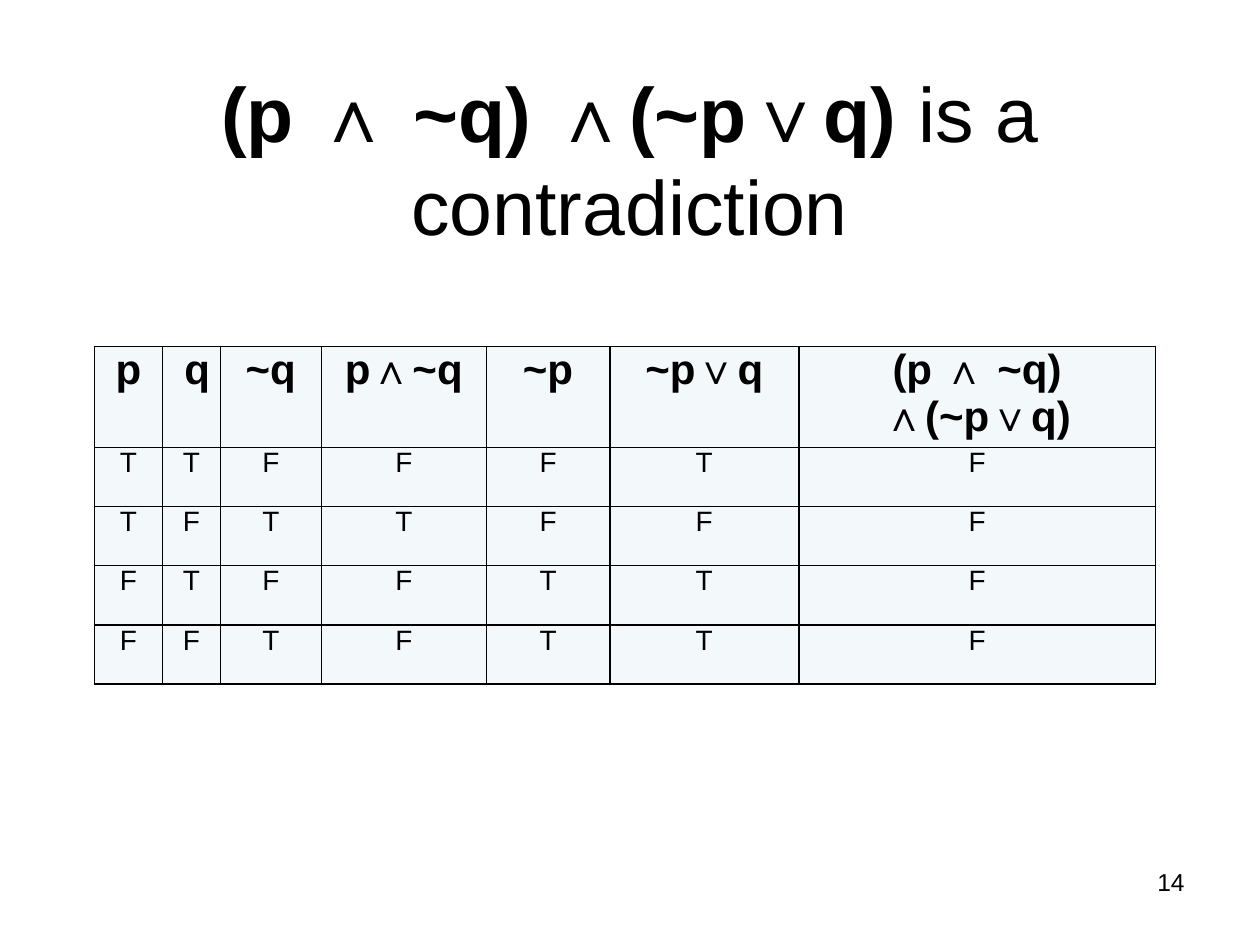
"""Build a slide with a truth table that proves a contradiction."""
from typing import NamedTuple

import pptx
import pptx.dml.color
import pptx.enum.text
import pptx.oxml
import pptx.oxml.ns
import pptx.util

Inches = pptx.util.Inches
Alignment = pptx.enum.text.PP_ALIGN
Anchor = pptx.enum.text.MSO_ANCHOR
BLACK = pptx.dml.color.RGBColor(0x00, 0x00, 0x00)
PALE_BLUE = pptx.dml.color.RGBColor(0xF3, 0xF9, 0xFA)
FORMULA = "(p ∧ ~q) ∧(~p∨q)"
ROW_HEIGHT = 0.47


class TruthColumn(NamedTuple):
    """One column: its header, its width in inches and its truth values."""
    header: str
    width: float
    values: str


COLUMNS = [
    TruthColumn("p", 0.54, "TTFF"),
    TruthColumn(" q", 0.46, "TFTF"),
    TruthColumn("~q", 0.8, "FTFT"),
    TruthColumn("p∧~q", 1.31, "FTFF"),
    TruthColumn("~p", 0.98, "FFTT"),
    TruthColumn("~p∨q", 1.5, "TFTT"),
    TruthColumn(FORMULA, 2.83, "FFFF"),
]


def add_text(paragraph, text: str, *, size: float, bold: bool = False,
             alignment=Alignment.CENTER) -> None:
    """Append one formatted run to a paragraph."""
    paragraph.alignment = alignment
    run = paragraph.add_run()
    run.text = text
    run.font.name = "Arial"
    run.font.size = pptx.util.Pt(size)
    run.font.bold = bold
    run.font.color.rgb = BLACK


def add_borders(cell) -> None:
    """Put a thin black line on each side of a cell."""
    properties = cell._tc.get_or_add_tcPr()
    namespace = pptx.oxml.ns.nsdecls("a")
    for position, side in enumerate(("lnL", "lnR", "lnT", "lnB")):
        properties.insert(position, pptx.oxml.parse_xml(
            f'<a:{side} {namespace} w="12700"><a:solidFill>'
            f'<a:srgbClr val="{BLACK}"/></a:solidFill></a:{side}>'))


def fill_cell(cell, text: str, *, size: float, bold: bool) -> None:
    """Write and format one table cell."""
    cell.margin_left = cell.margin_right = 0
    cell.margin_top = cell.margin_bottom = 0
    cell.fill.solid()
    cell.fill.fore_color.rgb = PALE_BLUE
    add_borders(cell)
    add_text(cell.text_frame.paragraphs[0], text, size=size, bold=bold)


def add_truth_table(slide, columns: list[TruthColumn]) -> None:
    """Draw the truth table from its columns."""
    row_count = len(columns[0].values) + 1
    table = slide.shapes.add_table(
        row_count, len(columns), Inches(0.75), Inches(2.75),
        Inches(sum(column.width for column in columns)),
        Inches(ROW_HEIGHT * row_count)).table
    table.horz_banding = False
    table.first_row = False
    for index, column in enumerate(columns):
        table.columns[index].width = Inches(column.width)
        fill_cell(table.cell(0, index), column.header, size=24, bold=True)
        for row, value in enumerate(column.values, start=1):
            fill_cell(table.cell(row, index), value, size=16, bold=False)


def add_title(slide) -> None:
    """Place the title with its formula in bold."""
    title = slide.shapes.title
    title.left, title.top = Inches(0.5), Inches(0.63)
    title.width, title.height = Inches(9), Inches(1.25)
    title.text_frame.auto_size = pptx.enum.text.MSO_AUTO_SIZE.NONE
    title.text_frame.vertical_anchor = Anchor.MIDDLE
    paragraph = title.text_frame.paragraphs[0]
    add_text(paragraph, FORMULA, size=44, bold=True)
    add_text(paragraph, " is a contradiction", size=44)


def add_slide_number(slide, number: str) -> None:
    """Place the slide number at the lower right."""
    box = slide.shapes.add_textbox(
        Inches(7.17), Inches(6.83), Inches(2.33), Inches(0.52))
    box.text_frame.word_wrap = True
    add_text(box.text_frame.paragraphs[0], number, size=14,
             alignment=Alignment.RIGHT)


def main() -> None:
    """Build and save the presentation."""
    presentation = pptx.Presentation()
    presentation.slide_width = Inches(10)
    presentation.slide_height = Inches(7.5)
    slide = presentation.slides.add_slide(presentation.slide_layouts[5])
    add_title(slide)
    add_slide_number(slide, "14")
    add_truth_table(slide, COLUMNS)
    presentation.save("out.pptx")


if __name__ == "__main__":
    main()
